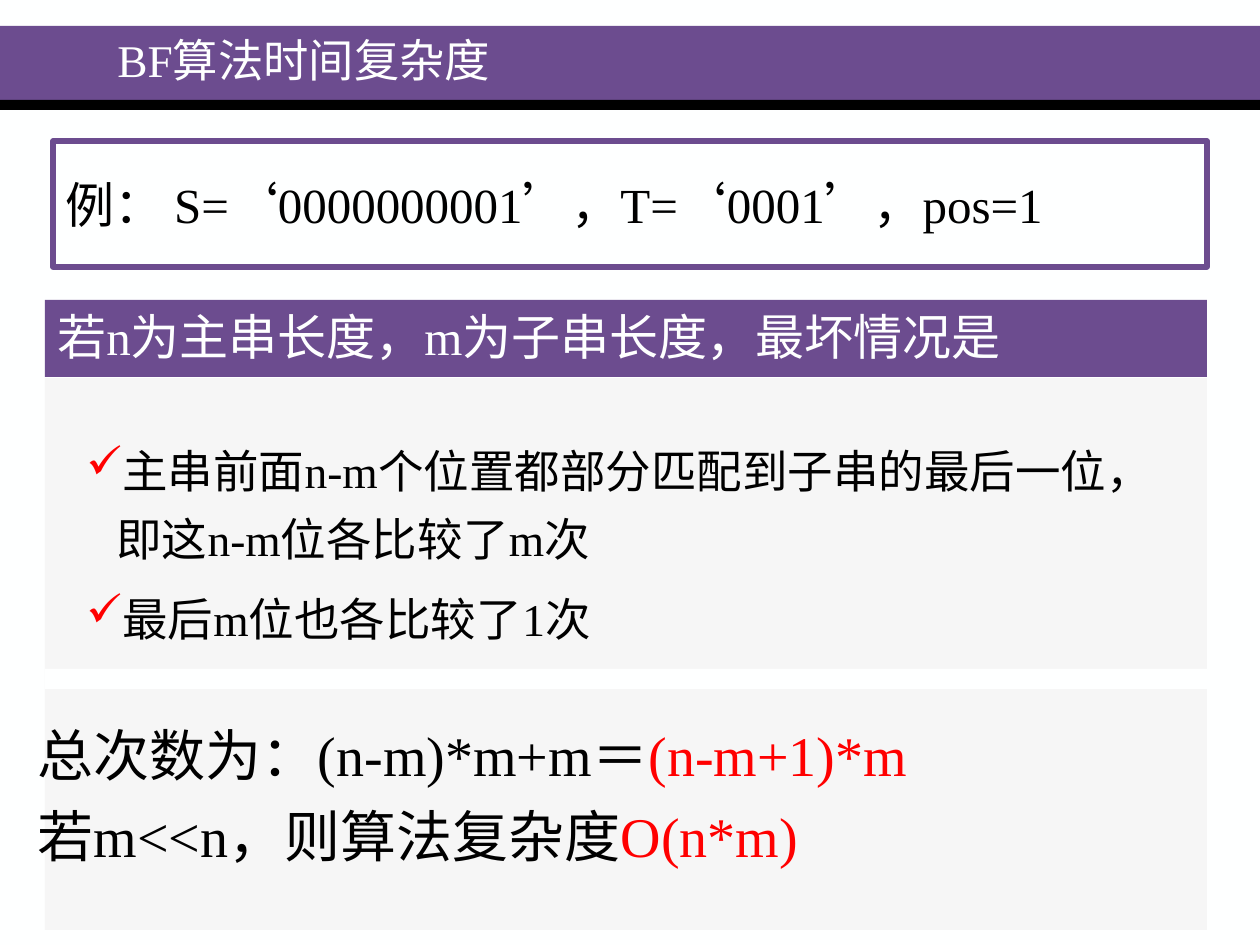
from pptx import Presentation
from pptx.dml.color import RGBColor as RGB
from pptx.enum.shapes import MSO_SHAPE as SHAPE
from pptx.enum.text import MSO_ANCHOR as ANCHOR, MSO_AUTO_SIZE as FIT, PP_ALIGN as ALIGN
from pptx.util import Pt
from lxml.etree import SubElement
from pptx.oxml.ns import qn

PX = 914400 // 126
HUE = {"plum": "6C4C8F", "black": "000000", "pale": "F6F6F6", "white": "FEFFFF", "red": "FF0000"}

deck = Presentation()
deck.slide_width, deck.slide_height = 1260 * PX, 945 * PX
slide = deck.slides.add_slide(deck.slide_layouts[6])
back = slide.background.fill
back.solid()
back.fore_color.rgb = RGB.from_string(HUE["white"])


def block(box, fill=None, line=None):
    shape = slide.shapes.add_shape(SHAPE.RECTANGLE, *[n * PX for n in box])
    shape.shadow.inherit = False
    if fill:
        shape.fill.solid()
        shape.fill.fore_color.rgb = RGB.from_string(HUE[fill])
    else:
        shape.fill.background()
    if line:
        shape.line.color.rgb = RGB.from_string(HUE[line])
        shape.line.width = Pt(3)
    else:
        shape.line.fill.background()
    return shape


def write(shape, text, size, hue="black", anchor=ANCHOR.TOP, wrap=True, grow=False,
          space=None, gap=0, hang=0, mark=None):
    frame = shape.text_frame
    frame.word_wrap = wrap
    frame.auto_size = FIT.SHAPE_TO_FIT_TEXT if grow else FIT.NONE
    frame.vertical_anchor = anchor
    for i, parts in enumerate(text):
        para = frame.paragraphs[0] if i == 0 else frame.add_paragraph()
        para.alignment = ALIGN.LEFT
        if space:
            para.line_spacing = space
        if i:
            para.space_before = Pt(gap)
        props = para._p.get_or_add_pPr()
        if hang:
            props.set("marL", str(hang * PX))
            props.set("indent", str(-hang * PX))
        if mark:
            tint = SubElement(props, qn("a:buClr"))
            SubElement(tint, qn("a:srgbClr")).set("val", HUE["red"])
            SubElement(props, qn("a:buChar")).set("char", mark)
        for part, tone in zip(parts, (hue, "red")):
            run = para.add_run()
            run.text = part
            run.font.size = Pt(size)
            run.font.name = "Times New Roman"
            run.font.color.rgb = RGB.from_string(HUE[tone])


block((0, 26, 1260, 74), "plum")
block((0, 100, 1260, 10), "black")
block((45, 378, 1162, 552), "pale")

head = block((45, 300, 1162, 77), "plum")
write(head, [["若n为主串长度，m为子串长度，最坏情况是"]], 28, "white")

title = slide.shapes.add_textbox(105 * PX, 28 * PX, 634 * PX, 70 * PX)
write(title, [["BF算法时间复杂度"]], 25.9, "white", anchor=ANCHOR.MIDDLE, space=0.9)

cases = slide.shapes.add_textbox(74 * PX, 423 * PX, 1103 * PX, 229 * PX)
write(cases, [["主串前面n-m个位置都部分匹配到子串的最后一位，即这n-m位各比较了m次"],
              ["最后m位也各比较了1次"]],
      26, grow=True, space=1.25, gap=6.5, hang=30, mark="✓")

total = slide.shapes.add_textbox(25 * PX, 714 * PX, 1029 * PX, 161 * PX)
write(total, [["总次数为：(n-m)*m+m＝", "(n-m+1)*m"], ["若m<<n，则算法复杂度", "O(n*m)"]],
      32, wrap=False, grow=True, gap=8, hang=48)

sample = block((53, 141, 1154, 126), line="plum")
write(sample, [["例： S=‘0000000001’，T=‘0001’，pos=1"]], 28, anchor=ANCHOR.MIDDLE)

block((45, 669, 1162, 20), "white")

deck.save("out.pptx")
